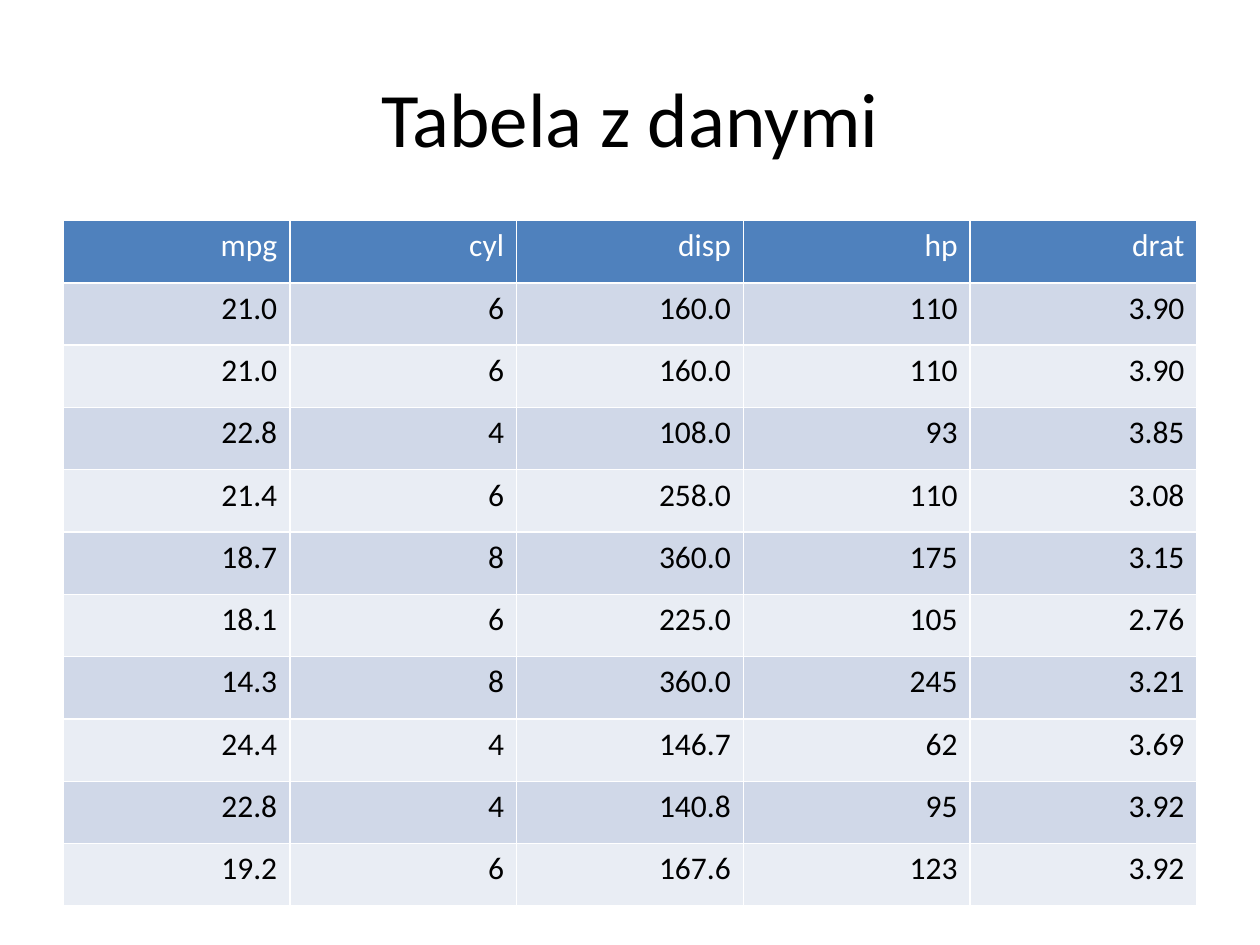
from dataclasses import dataclass

from pptx import Presentation
from pptx.dml.color import RGBColor
from pptx.enum import text
from pptx.oxml import parse_xml
from pptx.oxml.ns import nsdecls
from pptx.util import Pt


@dataclass(frozen=True)
class Theme:
    font: str = "Calibri"
    title_size: int = 44
    cell_size: int = 18
    ink: str = "000000"
    paper: str = "FFFFFF"
    header: str = "4F81BD"
    bands: tuple = ("D0D8E8", "E9EDF4")
    border: int = 1


THEME = Theme()

HEADERS = ("mpg", "cyl", "disp", "hp", "drat")
CARS = (
    ("21.0", "6", "160.0", "110", "3.90"),
    ("21.0", "6", "160.0", "110", "3.90"),
    ("22.8", "4", "108.0", "93", "3.85"),
    ("21.4", "6", "258.0", "110", "3.08"),
    ("18.7", "8", "360.0", "175", "3.15"),
    ("18.1", "6", "225.0", "105", "2.76"),
    ("14.3", "8", "360.0", "245", "3.21"),
    ("24.4", "4", "146.7", "62", "3.69"),
    ("22.8", "4", "140.8", "95", "3.92"),
    ("19.2", "6", "167.6", "123", "3.92"),
)


def add_run(tf, content, size, color, align):
    p = tf.paragraphs[0]
    p.alignment = align
    r = p.add_run()
    r.text = content
    r.font.name = THEME.font
    r.font.size = Pt(size)
    r.font.bold = False
    r.font.color.rgb = RGBColor.from_string(color)


def set_title(s, content):
    sp = s.shapes.title
    sp.left, sp.top, sp.width, sp.height = Pt(36), Pt(21.6), Pt(648), Pt(90)
    sp.text_frame.vertical_anchor = text.MSO_ANCHOR.MIDDLE
    add_run(sp.text_frame, content, THEME.title_size, THEME.ink,
            text.PP_ALIGN.CENTER)


def set_borders(cell):
    # Border lines come before the fill in the cell properties
    tc_pr = cell._tc.get_or_add_tcPr()
    for i, side in enumerate(("lnL", "lnR", "lnT", "lnB")):
        tc_pr.insert(i, parse_xml(
            f'<a:{side} {nsdecls("a")} w="{Pt(THEME.border)}"><a:solidFill>'
            f'<a:srgbClr val="{THEME.paper}"/></a:solidFill></a:{side}>'))


def fill_cell(cell, content, fill, color):
    cell.fill.solid()
    cell.fill.fore_color.rgb = RGBColor.from_string(fill)
    set_borders(cell)
    add_run(cell.text_frame, content, THEME.cell_size, color,
            text.PP_ALIGN.RIGHT)


def add_data_table(s, headers, rows):
    row_height = Pt(35.62)
    count = len(rows) + 1
    table = s.shapes.add_table(count, len(headers), Pt(36), Pt(126),
                               Pt(648), row_height * count).table
    for row in table.rows:
        row.height = row_height

    # Header row
    for col, name in enumerate(headers):
        fill_cell(table.cell(0, col), name, THEME.header, THEME.paper)

    # Banded data rows
    for i, values in enumerate(rows):
        for col, value in enumerate(values):
            fill_cell(table.cell(i + 1, col), value, THEME.bands[i % 2],
                      THEME.ink)


def main():
    prs = Presentation()
    prs.slide_width, prs.slide_height = Pt(720), Pt(540)
    s = prs.slides.add_slide(prs.slide_layouts[5])  # title only
    set_title(s, "Tabela z danymi")
    add_data_table(s, HEADERS, CARS)
    prs.save("out.pptx")


main()
